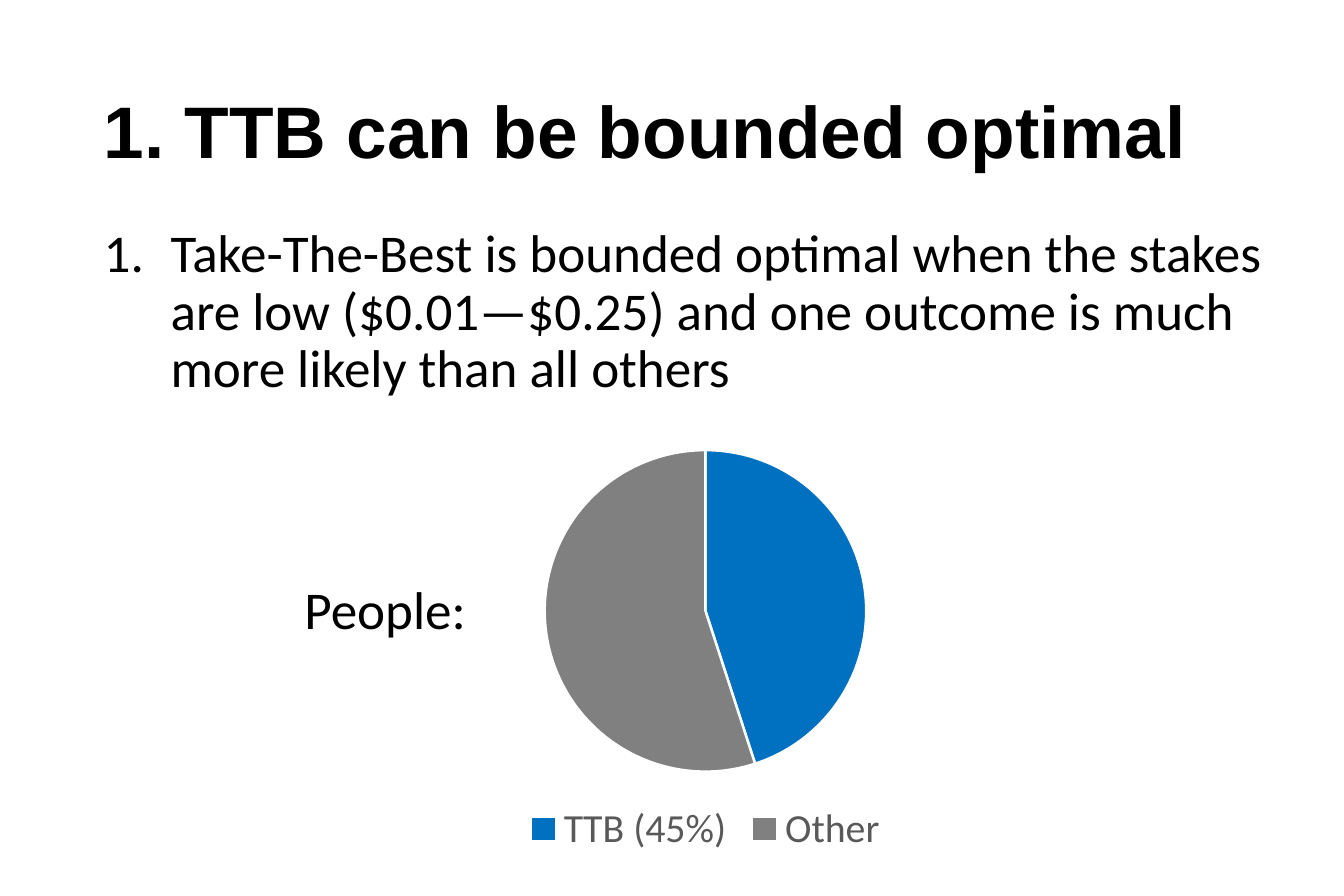
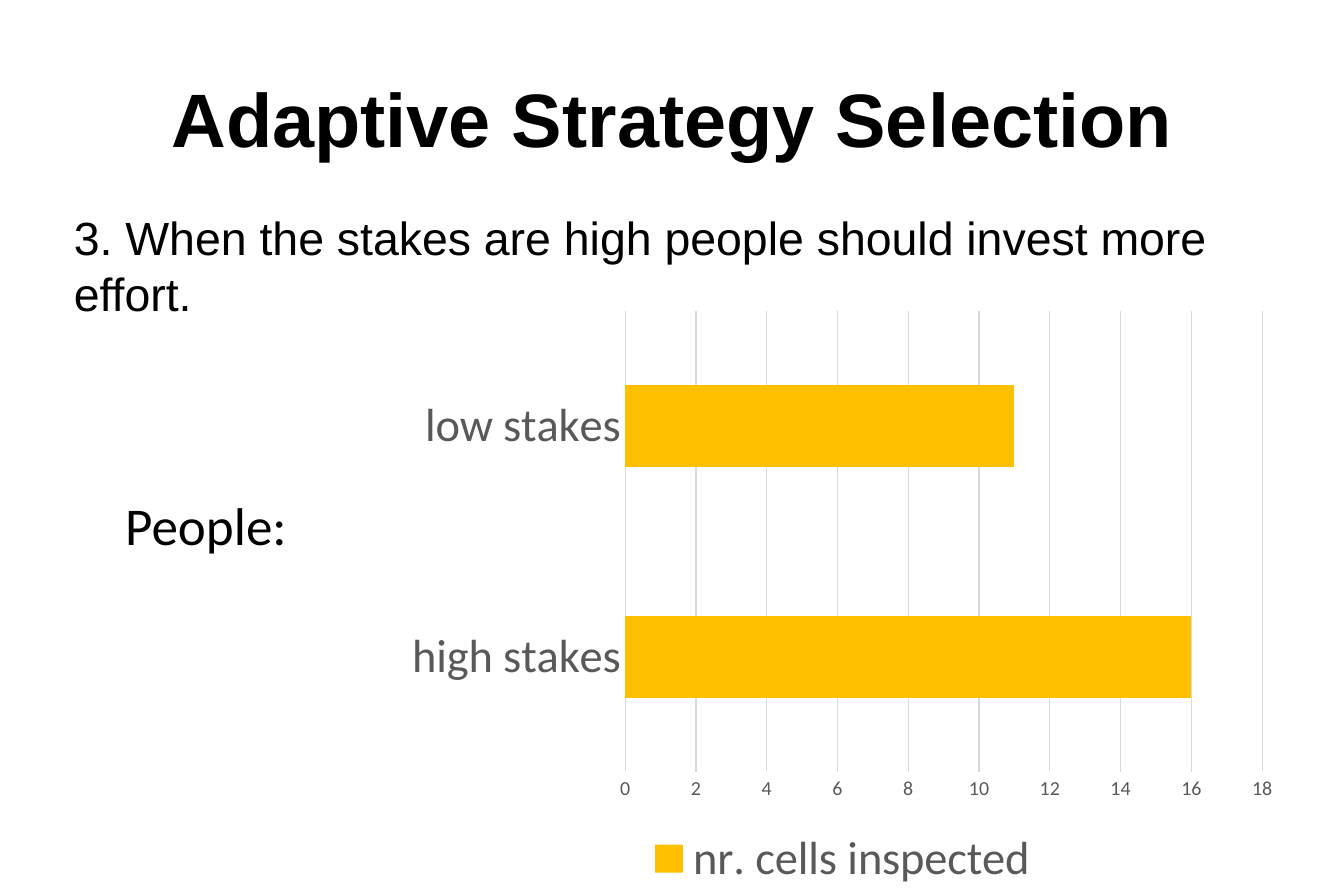
import pptx
import pptx.chart.data
import pptx.dml.color
import pptx.enum.chart
import pptx.enum.text
import pptx.util
import lxml.etree
from pptx.oxml.ns import qn

PX = 9144
SANS, BODY = "Arial", "Calibri"
BLACK, WHITE, GRAY, RULE = "000000", "FFFFFF", "595959", "D9D9D9"
BLUE, SLATE, GOLD = "0070C0", "808080", "FFC000"
LEFT = pptx.enum.text.PP_ALIGN.LEFT
MID = pptx.enum.text.PP_ALIGN.CENTER
KIND = pptx.enum.chart.XL_CHART_TYPE


def px(n):
    return pptx.util.Emu(n * PX)


def tint(code):
    return pptx.dml.color.RGBColor.from_string(code)


class Deck:
    def __init__(self, wide, high):
        self.file = pptx.Presentation()
        self.file.slide_width, self.file.slide_height = px(wide), px(high)
        self.page = None

    def add(self):
        self.page = self.file.slides.add_slide(self.file.slide_layouts[6])

    def style(self, font, size, face=BODY, color=BLACK, bold=False):
        font.name, font.size, font.bold = face, pptx.util.Pt(size), bold
        font.color.rgb = tint(color)

    def text(self, words, spot, size, face=BODY, bold=False, align=LEFT,
             lead=1.0, hang=0, wrap=True, middle=False):
        box = self.page.shapes.add_textbox(*map(px, spot))
        frame = box.text_frame
        frame.word_wrap = wrap
        if middle:
            frame.vertical_anchor = pptx.enum.text.MSO_ANCHOR.MIDDLE
        para = frame.paragraphs[0]
        para.text = words
        para.alignment, para.line_spacing = align, lead
        if hang:
            prop = para._p.get_or_add_pPr()
            prop.set("marL", str(px(hang)))
            prop.set("indent", str(-px(hang)))
            mark = lxml.etree.SubElement(prop, qn("a:buAutoNum"))
            mark.set("type", "arabicPeriod")
        self.style(para.font, size, face, BLACK, bold)

    def title(self, words, spot, size, align=LEFT, lead=1.0):
        self.text(words, spot, size, SANS, True, align, lead, middle=True)

    def label(self, words, spot):
        self.text(words, spot, 32, align=MID, wrap=False)

    def chart(self, kind, spot, cats, name, vals, size):
        data = pptx.chart.data.CategoryChartData()
        data.categories = cats
        data.add_series(name, vals)
        chart = self.page.shapes.add_chart(kind, *map(px, spot), data).chart
        self.style(chart.font, 10)
        chart.has_title = False
        chart.has_legend = True
        chart.legend.position = pptx.enum.chart.XL_LEGEND_POSITION.BOTTOM
        chart.legend.include_in_layout = False
        self.style(chart.legend.font, size, color=GRAY)
        return chart

    def fill(self, part, color):
        part.format.fill.solid()
        part.format.fill.fore_color.rgb = tint(color)

    def rule(self, line):
        line.color.rgb = tint(RULE)
        line.width = pptx.util.Pt(0.75)

    def pie(self, spot, cats, name, vals, colors, size):
        chart = self.chart(KIND.PIE, spot, cats, name, vals, size)
        plot = chart.plots[0]
        plot.vary_by_categories = True
        for i, color in enumerate(colors):
            slice = plot.series[0].points[i]
            self.fill(slice, color)
            slice.format.line.color.rgb = tint(WHITE)
            slice.format.line.width = pptx.util.Pt(1.5)

    def bars(self, spot, cats, name, vals, color, size, top, step):
        chart = self.chart(KIND.BAR_CLUSTERED, spot, cats, name, vals, size)
        plot = chart.plots[0]
        plot.vary_by_categories = False
        plot.gap_width = 182
        self.fill(plot.series[0], color)
        none = pptx.enum.chart.XL_TICK_MARK.NONE
        cat, val = chart.category_axis, chart.value_axis
        for axis, points in ((cat, size), (val, 12)):
            axis.major_tick_mark = axis.minor_tick_mark = none
            self.style(axis.tick_labels.font, points, color=GRAY)
        self.rule(cat.format.line)
        val.format.line.fill.background()
        val.minimum_scale, val.maximum_scale = 0, top
        val.major_unit = step
        val.has_major_gridlines = True
        self.rule(val.major_gridlines.format.line)


def main():
    deck = Deck(1125, 750)

    deck.add()
    deck.title("1. TTB can be bounded optimal", (77, 40, 970, 145), 44, lead=0.9)
    deck.text("Take-The-Best is bounded optimal when the stakes are low "
              "($0.01—$0.25) and one outcome is much more likely than all others",
              (77, 185, 1027, 537), 32, lead=0.9, hang=56)
    deck.pie((339, 363, 503, 358), ["TTB (45%)", "Other"], "Series 1",
             [45, 55], [BLUE, SLATE], 24)
    deck.label("People:", (244, 478, 157, 64))

    deck.add()
    deck.text("3. When the stakes are high people should invest more effort.",
              (52, 170, 1028, 476), 28, SANS)
    deck.title("Adaptive Strategy Selection", (0, 55, 1125, 87), 45.6, MID)
    deck.bars((330, 250, 750, 500), ["high stakes", "low stakes"],
              "nr. cells inspected", [16, 11], GOLD, 28, 18, 2)
    deck.label("People:", (94, 407, 157, 64))

    deck.file.save("out.pptx")


if __name__ == "__main__":
    main()
